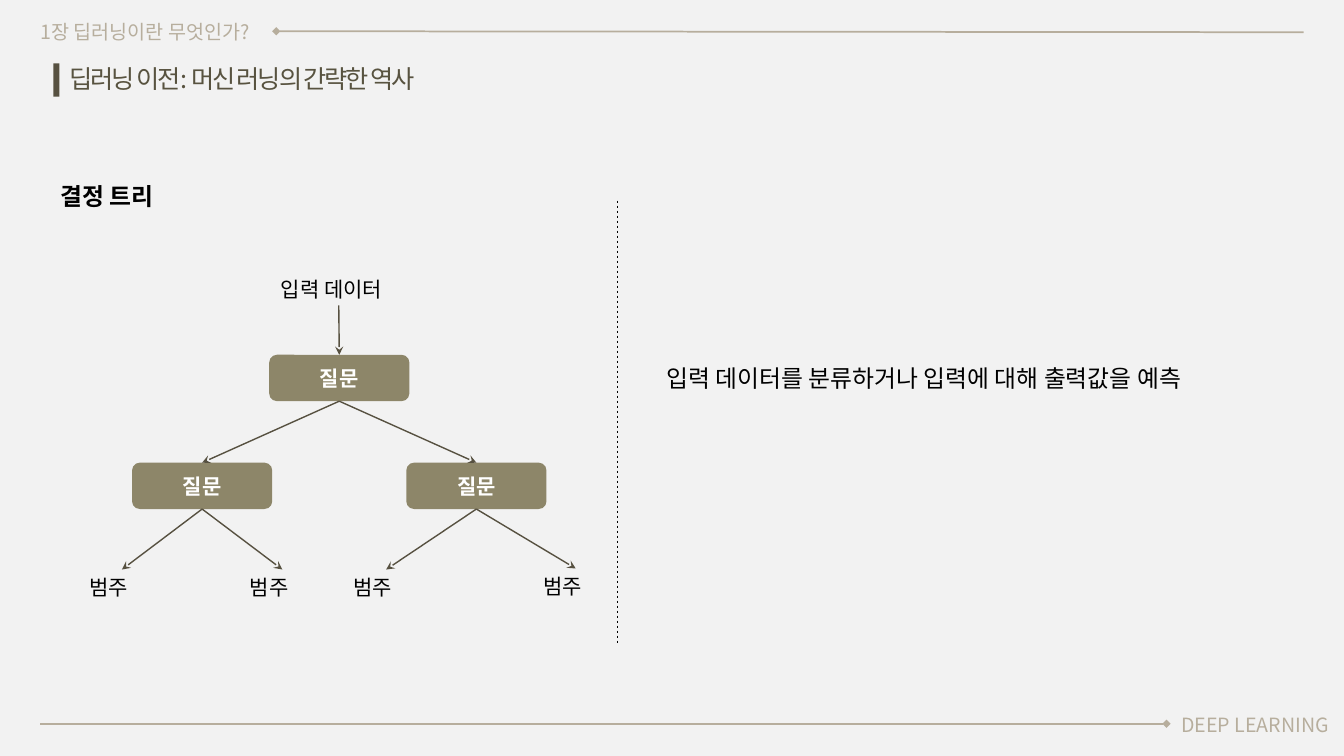
"""Build a slide that explains a decision tree."""
from lxml import etree
from pptx import Presentation
from pptx import util as u
from pptx.dml.color import RGBColor
from pptx.enum import dml, shapes, text
from pptx.oxml.ns import qn

PX = 9144
SIZE = (1333, 750)
THEME = {
    "font": "Noto Sans CJK KR",
    "back": "F2F2F2", "tan": "B7AE9D", "box": "8D8669", "dark": "575141",
    "head": "585340", "ink": "000000", "white": "FFFFFF",
    "small": 14, "node": 15, "body": 17, "title": 18,
}

TITLE = ("딥러닝 이전: 머신 러닝의 간략한 역사", (59, 58, 386, 40))
BODY = ("입력 데이터를 분류하거나 입력에 대해 출력값을 예측", (651, 356, 601, 38))
LABELS = [
    ("1장 딥러닝이란 무엇인가?", (30, 15, 244, 32), "small", "tan", {"wrap": False}),
    ("DEEP LEARNING", (1156, 702, 178, 33), "small", "tan", {"wrap": False, "mid": True}),
    ("결정 트리", (50, 175, 150, 38), "body", "ink", {"bold": True}),
]
BAR = (53, 63, 6, 33)
RULES = [
    ((274, 31), (1293, 32), "tan", 1.25, {"head": "diamond"}),
    ((40, 718), (1157, 718), "tan", 1.25, {"tail": "diamond"}),
    ((612, 199), (612, 639), "ink", 0.5, {"dash": True}),
]
INPUT = (" 입력 데이터", (264, 269, 144, 34))
ASK, ASK_W, ASK_H = "질문", 139, 46
ASKS = {"root": (267, 352), "left": (131, 459), "right": (403, 459)}
KIND, KIND_W, KIND_H = "범주", 84, 35
KINDS = {"a": (79, 565), "b": (238, 565), "c": (341, 565), "d": (529, 564)}
LINKS = [("input", "root"), ("root", "left"), ("root", "right"),
         ("left", "a"), ("left", "b"), ("right", "c"), ("right", "d")]


def color(name):
    return RGBColor.from_string(THEME[name])


def emu(*vals):
    return [val * PX for val in vals]


def write(shape, words, size, ink, bold=False, wrap=True, mid=False, mode="TOP", gap=None):
    frame = shape.text_frame
    frame.text = words
    para = frame.paragraphs[0]
    font = para.runs[0].font
    align = text.PP_ALIGN.CENTER if mid else text.PP_ALIGN.LEFT
    styles = [
        (frame, {"word_wrap": wrap, "auto_size": text.MSO_AUTO_SIZE.NONE,
                 "vertical_anchor": text.MSO_ANCHOR[mode]}),
        (para, {"alignment": align, "space_before": u.Pt(0)}),
        (font, {"name": THEME["font"], "size": u.Pt(THEME[size]), "bold": bold}),
    ]
    for part, style in styles:
        for key, val in style.items():
            setattr(part, key, val)
    font.color.rgb = color(ink)
    props = para.runs[0]._r.get_or_add_rPr()
    etree.SubElement(props, qn("a:ea"), typeface=THEME["font"])
    if gap:
        props.set("spc", str(gap))


def place(shape, rect):
    for key, val in zip(("left", "top", "width", "height"), emu(*rect)):
        setattr(shape, key, val)


def label(slide, words, rect, size, ink, style):
    box = slide.shapes.add_textbox(*emu(*rect))
    write(box, words, size, ink, **style)
    return box


def block(slide, kind, rect, fill):
    shape = slide.shapes.add_shape(kind, *emu(*rect))
    shape.shadow.inherit = False
    shape.fill.solid()
    shape.fill.fore_color.rgb = color(fill)
    shape.line.fill.background()
    return shape


def rule(slide, start, end, ink, width, head=None, tail=None, dash=False):
    line = slide.shapes.add_connector(shapes.MSO_CONNECTOR.STRAIGHT, *emu(*start, *end))
    line.line.color.rgb = color(ink)
    line.line.width = u.Pt(width)
    if dash:
        line.line.dash_style = dml.MSO_LINE.DASH
    props = line._element.spPr
    for tag, kind in (("a:headEnd", head), ("a:tailEnd", tail)):
        if kind:
            etree.SubElement(props.find(qn("a:ln")), qn(tag), type=kind)
    etree.SubElement(props, qn("a:effectLst"))
    return line


def tree(slide):
    nodes = {"input": label(slide, *INPUT, "node", "ink", {})}
    for name, spot in ASKS.items():
        rect = (*spot, ASK_W, ASK_H)
        nodes[name] = block(slide, shapes.MSO_SHAPE.ROUNDED_RECTANGLE, rect, "box")
        write(nodes[name], ASK, "node", "white", bold=True, mid=True, mode="MIDDLE")
    for name, spot in KINDS.items():
        nodes[name] = label(slide, KIND, (*spot, KIND_W, KIND_H), "node", "ink", {})
    for start, end in LINKS:
        line = rule(slide, (0, 0), (0, 0), "dark", 1, tail="stealth")
        line.begin_connect(nodes[start], 2)
        line.end_connect(nodes[end], 0)


def main():
    deck = Presentation()
    deck.slide_width, deck.slide_height = emu(*SIZE)
    slide = deck.slides.add_slide(deck.slide_layouts[1])
    slide.background.fill.solid()
    slide.background.fill.fore_color.rgb = color("back")

    title, body = slide.shapes.title, slide.placeholders[1]
    place(title, TITLE[1])
    write(title, TITLE[0], "title", "head", wrap=False, gap=-150)
    place(body, BODY[1])
    write(body, BODY[0], "body", "ink")
    props = body.text_frame.paragraphs[0]._p.get_or_add_pPr()
    for key in ("marL", "indent"):
        props.set(key, "0")
    etree.SubElement(props, qn("a:buNone"))

    for item in LABELS:
        label(slide, *item)
    block(slide, shapes.MSO_SHAPE.RECTANGLE, BAR, "dark")
    for start, end, ink, width, style in RULES:
        rule(slide, start, end, ink, width, **style)
    tree(slide)
    deck.save("out.pptx")


if __name__ == "__main__":
    main()
